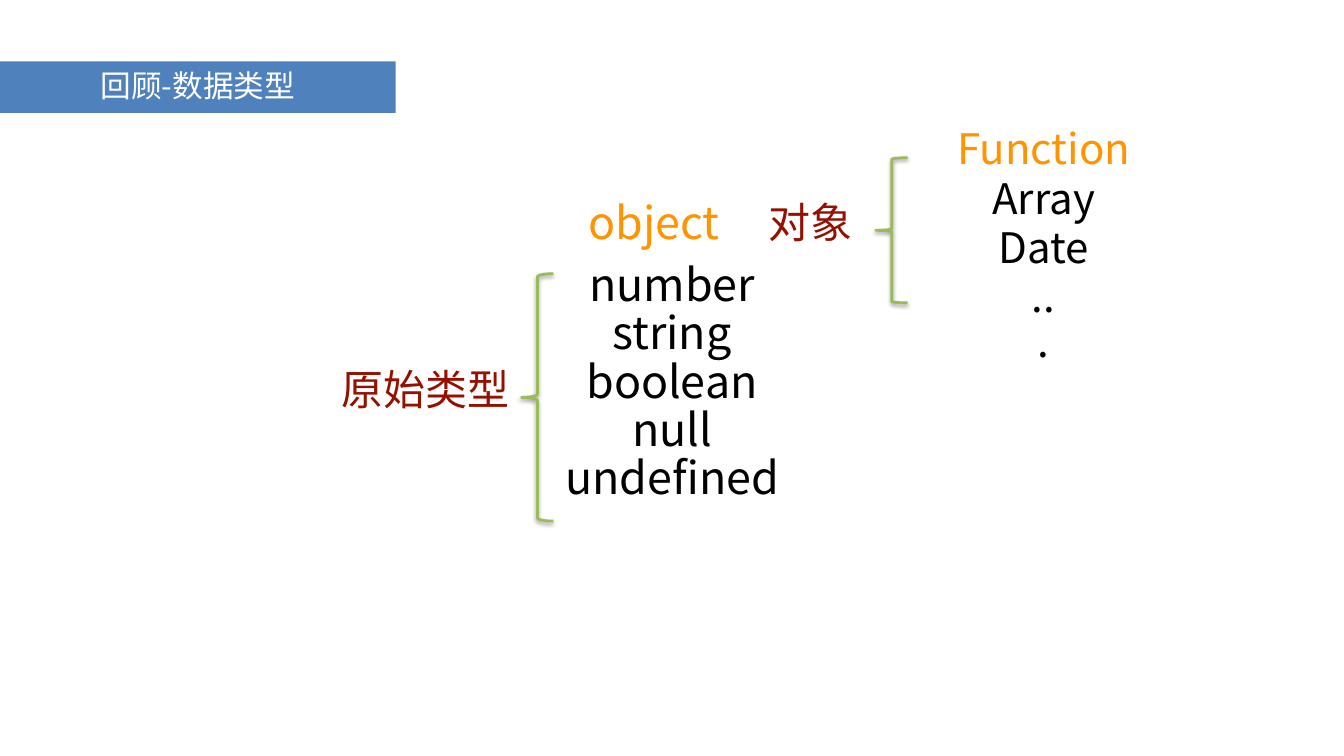
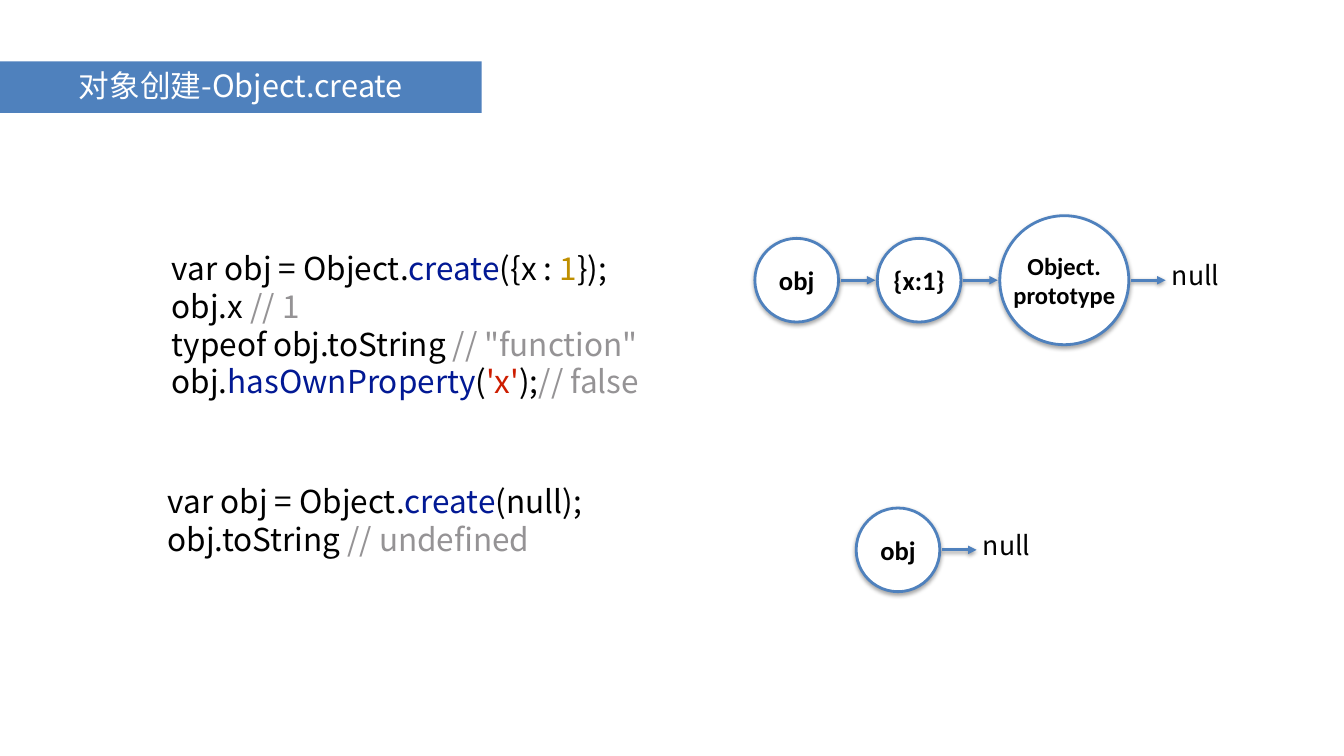
from pptx import Presentation
from pptx.dml.color import RGBColor
from pptx.enum.shapes import MSO_CONNECTOR, MSO_SHAPE
from pptx.enum.text import MSO_ANCHOR, MSO_AUTO_SIZE, PP_ALIGN
from pptx.oxml import parse_xml
from pptx.oxml.ns import nsdecls
from pptx.util import Inches, Pt

RECTANGLE, OVAL, BRACE = MSO_SHAPE.RECTANGLE, MSO_SHAPE.OVAL, MSO_SHAPE.LEFT_BRACE
STRAIGHT = MSO_CONNECTOR.STRAIGHT
LEFT, CENTER = PP_ALIGN.LEFT, PP_ALIGN.CENTER
TOP, MIDDLE = MSO_ANCHOR.TOP, MSO_ANCHOR.MIDDLE
GROW = MSO_AUTO_SIZE.SHAPE_TO_FIT_TEXT

COLORS = {
    "white": "FFFFFF", "black": "000000", "blue": "4F81BD", "green": "9BBB59",
    "dark red": "941100", "orange": "FF9300", "method": "021994",
    "number": "BF8F00", "comment": "959395", "string": "CD1D00",
}
SANS = "Noto Sans CJK SC"
LINE_WIDTH = Pt(4)


def write(box, lines, size, color="black", font=SANS, bold=False, align=CENTER,
          spacing=0.9, margin=0.1, anchor=TOP, wrap=True):
    frame = box.text_frame
    frame.word_wrap = wrap
    frame.vertical_anchor = anchor
    frame.margin_left = frame.margin_right = Inches(margin)
    frame.margin_top = frame.margin_bottom = Inches(margin)
    for index, line in enumerate(lines):
        para = frame.paragraphs[0] if index == 0 else frame.add_paragraph()
        para.alignment = align
        para.line_spacing = spacing
        para.font.size = Pt(size)
        para.font.bold = bold
        para.font.name = font
        for text, span_color in [(line, color)] if isinstance(line, str) else line:
            if "\n" in text:
                para.text = text
                spans = para.runs
            else:
                spans = [para.add_run()]
                spans[0].text = text
            for span in spans:
                span.font.color.rgb = RGBColor.from_string(COLORS[span_color])
                span.font.name = font
                span.font._element.append(
                    parse_xml(f'<a:ea {nsdecls("a")} typeface="{font}"/>'))


def outline(shape, color, shadow_opacity):
    shape.line.color.rgb = RGBColor.from_string(COLORS[color])
    shape.line.width = LINE_WIDTH
    shape._element.spPr.append(parse_xml(
        f'<a:effectLst {nsdecls("a")}><a:outerShdw blurRad="{Pt(6)}" dist="{Pt(3)}" '
        f'dir="5400000" rotWithShape="0"><a:srgbClr val="{COLORS["black"]}">'
        f'<a:alpha val="{shadow_opacity * 1000}"/></a:srgbClr></a:outerShdw></a:effectLst>'))


deck = Presentation()
deck.slide_width, deck.slide_height = Inches(26.67), Inches(15)

pages = []
for title, width in [("回顾-数据类型", 7.85), ("对象创建-Object.create", 9.56)]:
    page = deck.slides.add_slide(deck.slide_layouts[6])
    band = page.shapes.add_shape(RECTANGLE, 0, Inches(1.22), Inches(width), Inches(1.02))
    band.shadow.inherit = False
    band.fill.solid()
    band.fill.fore_color.rgb = RGBColor.from_string(COLORS["blue"])
    band.line.fill.background()
    write(band, [title], 43.8, "white", margin=0, anchor=MIDDLE)
    pages.append(page)
types_page, create_page = pages

PRIMITIVES = ["number", "string", "boolean", "null", "undefined"]
type_labels = [
    (PRIMITIVES, 11.01, 5.11, 4.65, 5.63, 64, "black", True),
    (["原始类型"], 6.57, 7.23, 3.74, 1.3, 60, "dark red", True),
    (["object"], 11.54, 3.89, 2.87, 1.38, 64, "orange", False),
    (["对象"], 14.21, 3.92, 3.74, 1.3, 60, "dark red", True),
    (["Function"], 18.87, 2.45, 3.68, 1.3, 60, "orange", False),
    (["Array"], 19.54, 3.43, 2.34, 1.3, 60, "black", False),
    (["Date"], 19.66, 4.4, 2.09, 1.3, 60, "black", False),
    (["..."], 20.3, 5.38, 0.82, 1.3, 60, "black", True),
]
for lines, left, top, width, height, size, color, wrap in type_labels:
    box = types_page.shapes.add_textbox(Inches(left), Inches(top), Inches(width), Inches(height))
    write(box, lines, size, color, wrap=wrap)
    box.text_frame.auto_size = GROW

for left, top, height, curve in [(10.35, 5.43, 4.91, 0.1), (17.38, 3.13, 2.88, 0.05)]:
    brace = types_page.shapes.add_shape(
        BRACE, Inches(left), Inches(top), Inches(0.63), Inches(height))
    brace.adjustments[0] = curve
    brace.fill.background()
    outline(brace, "green", 38)

nodes = [
    ("obj", 15.81, 5.56, 1.66, 38),
    ("{x:1}", 18.24, 5.56, 1.66, 38),
    ("Object.\nprototype", 21.12, 5.56, 2.56, 35),
    ("obj", 17.82, 10.91, 1.66, 38),
]
for text, center_x, center_y, diameter, size in nodes:
    node = create_page.shapes.add_shape(
        OVAL, Inches(center_x - diameter / 2), Inches(center_y - diameter / 2),
        Inches(diameter), Inches(diameter))
    node.fill.solid()
    node.fill.fore_color.rgb = RGBColor.from_string(COLORS["white"])
    outline(node, "blue", 35)
    write(node, [text], size, font="Calibri", bold=True, spacing=1, margin=0,
          anchor=MIDDLE, wrap=False)

    start = center_x + diameter / 2 + 0.04
    arrow = create_page.shapes.add_connector(
        STRAIGHT, Inches(start), Inches(center_y), Inches(start + 0.69), Inches(center_y))
    outline(arrow, "blue", 38)
    arrow.line._get_or_add_ln().append(
        parse_xml(f'<a:tailEnd {nsdecls("a")} type="triangle"/>'))

for left, top in [(23.15, 5.11), (19.4, 10.47)]:
    box = create_page.shapes.add_textbox(Inches(left), Inches(top), Inches(1.15), Inches(0.89))
    write(box, ["null"], 38, wrap=False)
    box.text_frame.auto_size = GROW

create_call = [("var obj = Object.", "black"), ("create", "method")]
code_blocks = [
    (3.31, 4.84, 9.9, 4.37, [
        create_call + [("({x : ", "black"), ("1", "number"), ("});", "black")],
        [("obj.x ", "black"), ("// 1", "comment")],
        [("typeof obj.toString ", "black"), ('// "function"', "comment")],
        [("obj.", "black"), ("hasOwnProperty", "method"), ("(", "black"),
         ("'x'", "string"), (");", "black"), ("// false", "comment")],
    ]),
    (3.23, 9.46, 8.9, 1.87, [
        create_call + [("(null);", "black")],
        [("obj.toString ", "black"), ("// undefined", "comment")],
    ]),
]
for left, top, width, height, lines in code_blocks:
    box = create_page.shapes.add_textbox(Inches(left), Inches(top), Inches(width), Inches(height))
    write(box, lines, 45, align=LEFT, spacing=1, wrap=False)
    box.text_frame.auto_size = GROW

deck.save("out.pptx")
